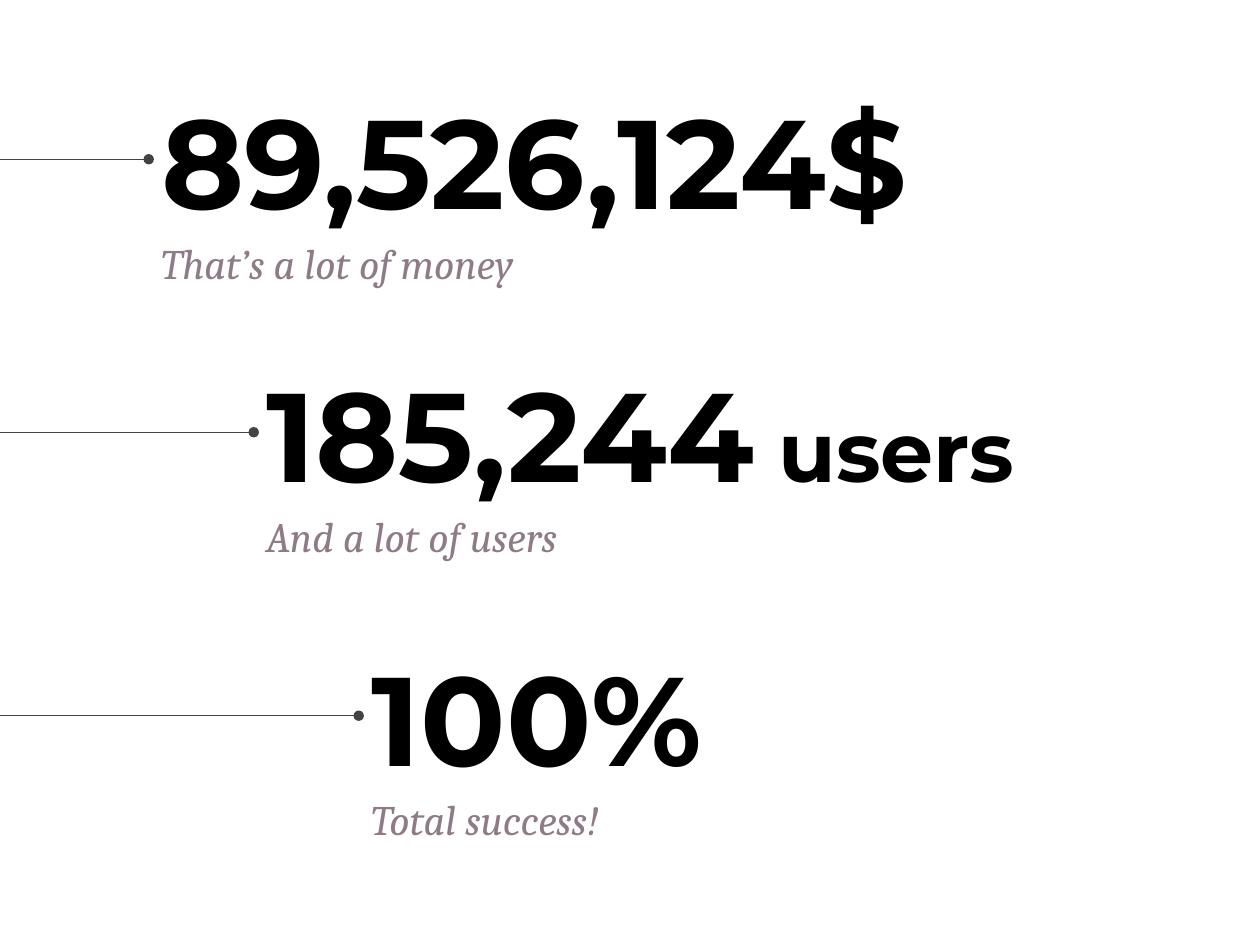
import lxml.etree
import pptx
import pptx.dml.color
import pptx.enum.shapes
import pptx.enum.text
import pptx.oxml.ns
import pptx.util

Pt = pptx.util.Pt
WIDTH, HEIGHT = 720, 540
BOX_WIDTH, NUMBER_HEIGHT, CAPTION_HEIGHT = 473, 94, 49
CAPTION_OFFSET = 80
FIRST_LEFT, LEFT_STEP = 85, 60
INK, MAUVE, GREY = "000000", "8F7B87", "434343"

FIGURES = [
    (44, [("89,526,124$", 72)], "That’s a lot of money"),
    (200, [("185,244", 72), (" users", 48)], "And a lot of users"),
    (362, [("100%", 72)], "Total success!"),
]


def colour(value):
    """Turn a hex string into a colour."""
    return pptx.dml.color.RGBColor.from_string(value)


def place_text(box, left, top, height, anchor):
    """Place a text box or placeholder and return its first paragraph."""
    box.left, box.top, box.width, box.height = Pt(left), Pt(top), Pt(BOX_WIDTH), Pt(height)
    frame = box.text_frame
    frame.word_wrap = True
    frame.auto_size = pptx.enum.text.MSO_AUTO_SIZE.NONE
    frame.vertical_anchor = anchor
    frame.margin_left = frame.margin_right = Pt(7.2)
    frame.margin_top = frame.margin_bottom = Pt(7.2)
    para = frame.paragraphs[0]
    para.alignment = pptx.enum.text.PP_ALIGN.LEFT
    return para


def add_span(para, text, font_name, size, hex_colour, bold=False, italic=False):
    """Append one formatted run to a paragraph."""
    span = para.add_run()
    span.text = text
    font = span.font
    font.name, font.size = font_name, Pt(size)
    font.bold, font.italic = bold, italic
    font.color.rgb = colour(hex_colour)


def add_pointer(page, box, left, middle):
    """Draw a line with a round head from a box to the page's left edge."""
    pointer = page.shapes.add_connector(
        pptx.enum.shapes.MSO_CONNECTOR.STRAIGHT, Pt(left), Pt(middle), Pt(0), Pt(middle))
    pointer.begin_connect(box, 1)
    pointer.line.color.rgb = colour(GREY)
    pointer.line.width = Pt(0.75)
    qualified = pptx.oxml.ns.qn
    lxml.etree.SubElement(pointer.line._get_or_add_ln(), qualified("a:headEnd"), type="oval")
    lxml.etree.SubElement(pointer._element.spPr, qualified("a:effectLst"))


def add_figure(page, box, left, top, spans, caption):
    """Fill a number box, then add its caption below and its pointer."""
    number = place_text(box, left, top, NUMBER_HEIGHT, pptx.enum.text.MSO_ANCHOR.MIDDLE)
    for text, size in spans:
        add_span(number, text, "Montserrat", size, INK, bold=True)
    caption_box = page.shapes.add_textbox(0, 0, 0, 0)
    para = place_text(caption_box, left, top + CAPTION_OFFSET, CAPTION_HEIGHT,
                      pptx.enum.text.MSO_ANCHOR.TOP)
    para.line_spacing = 1.15
    add_span(para, caption, "Cambria", 24, MAUVE, italic=True)
    add_pointer(page, box, left, top + NUMBER_HEIGHT / 2)


def main():
    """Build the slide of three big numbers and save it."""
    deck = pptx.Presentation()
    deck.slide_width, deck.slide_height = Pt(WIDTH), Pt(HEIGHT)
    page = deck.slides.add_slide(deck.slide_layouts[5])
    for index, (top, spans, caption) in enumerate(FIGURES):
        box = page.shapes.add_textbox(0, 0, 0, 0) if index else page.shapes.title
        add_figure(page, box, FIRST_LEFT + index * LEFT_STEP, top, spans, caption)
    deck.save("out.pptx")


if __name__ == "__main__":
    main()
